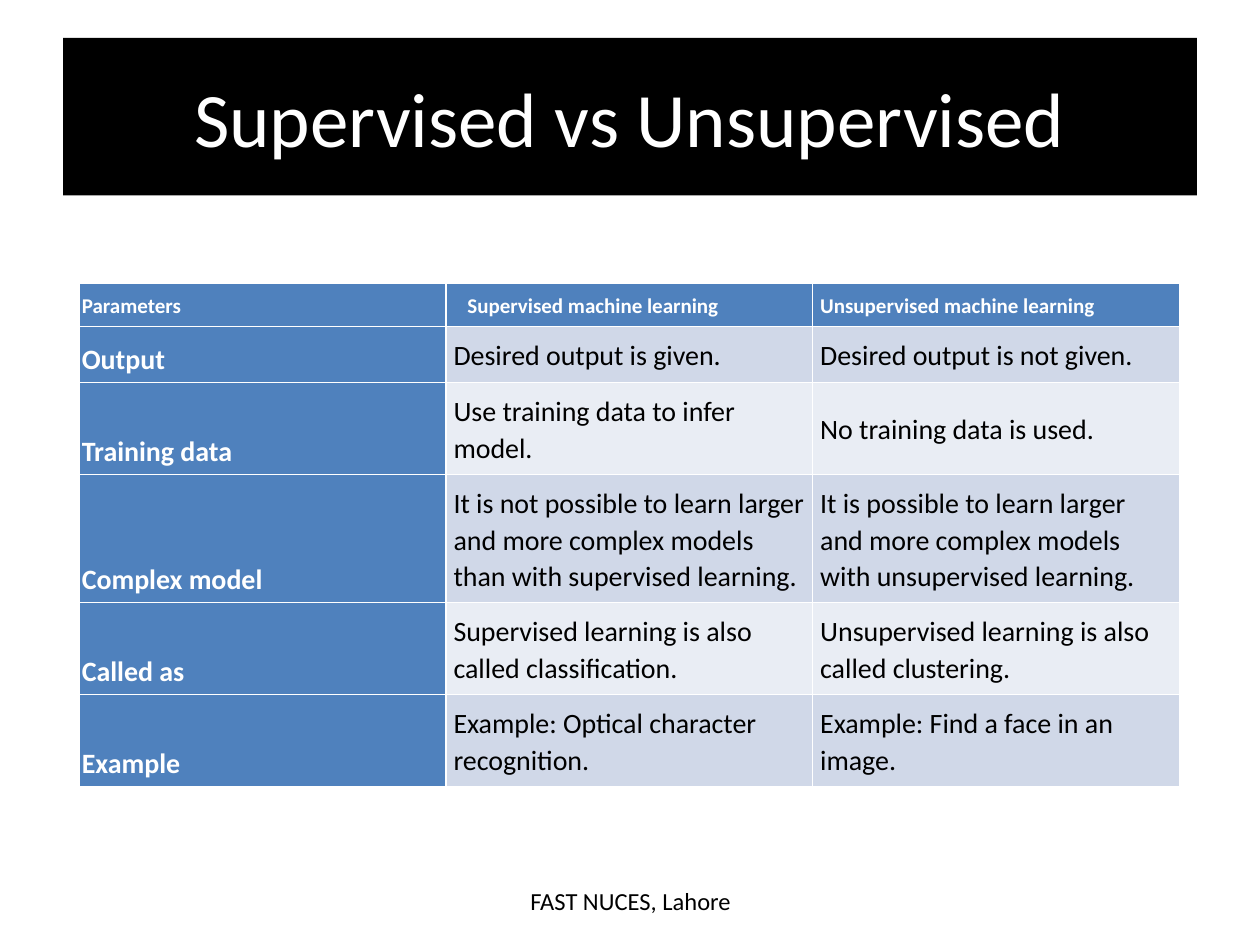
from dataclasses import dataclass
from pptx import Presentation
from pptx.dml.color import RGBColor as RGB
from pptx.enum.text import MSO_ANCHOR as ANCHOR, PP_ALIGN as ALIGN
from pptx.util import Inches, Pt


@dataclass(frozen=True)
class Theme:
    font: str = "Calibri"
    black: RGB = RGB(0, 0, 0)
    white: RGB = RGB(255, 255, 255)
    blue: RGB = RGB.from_string("4F81BD")
    bands: tuple = (RGB.from_string("D0D8E8"), RGB.from_string("E9EDF4"))
    title: Pt = Pt(44)
    body: Pt = Pt(16)
    footer: Pt = Pt(14)
    header: Pt = Pt(12)


T = Theme()


def set_attrs(obj, values):
    for name, value in values.items():
        setattr(obj, name, value)


def write(tf, text, size, color, bold=False, **para):
    p = tf.paragraphs[0]
    set_attrs(p, para)
    r = p.add_run()
    r.text = text
    set_attrs(r.font, {"name": T.font, "size": size, "bold": bold})
    r.font.color.rgb = color


prs = Presentation()
set_attrs(prs, {"slide_width": Inches(10), "slide_height": Inches(7.5)})
s = prs.slides.add_slide(prs.slide_layouts[5])

title = s.shapes.title
set_attrs(title, {"left": Inches(0.5), "top": Inches(0.3),
                  "width": Inches(9), "height": Inches(1.25)})
title.fill.solid()
title.fill.fore_color.rgb = T.black
title.text_frame.vertical_anchor = ANCHOR.MIDDLE
write(title.text_frame, "Supervised vs Unsupervised", T.title, T.white,
      alignment=ALIGN.CENTER)

footer = s.shapes.add_textbox(Inches(3.42), Inches(6.95), Inches(3.17), Inches(0.4))
set_attrs(footer.text_frame, {"word_wrap": True, "vertical_anchor": ANCHOR.MIDDLE})
write(footer.text_frame, "FAST NUCES, Lahore", T.footer, T.black,
      alignment=ALIGN.CENTER)

rows = [
    ("Parameters", "Supervised machine learning", "Unsupervised machine learning"),
    ("Output", "Desired output is given.", "Desired output is not given."),
    ("Training data", "Use training data to infer model.", "No training data is used."),
    ("Complex model",
     "It is not possible to learn larger and more complex models than with supervised learning.",
     "It is possible to learn larger and more complex models with unsupervised learning."),
    ("Called as", "Supervised learning is also called classification.",
     "Unsupervised learning is also called clustering."),
    ("Example", "Example: Optical character recognition.",
     "Example: Find a face in an image."),
]
heights = [0.34, 0.41, 0.41, 0.74, 0.57, 0.57]

table = s.shapes.add_table(len(rows), 3, Inches(0.63), Inches(2.25),
                           Inches(8.75), Inches(sum(heights))).table
table.first_col = True
for col in table.columns:
    col.width = Inches(2.91)

for i, (row, height) in enumerate(zip(rows, heights)):
    table.rows[i].height = Inches(height)
    for j, text in enumerate(row):
        cell = table.cell(i, j)
        label = i == 0 or j == 0
        side = Inches(0.06 if j else 0.02)
        edge = Inches(0.06 if i == 0 else 0.08 if j else 0.04)
        set_attrs(cell, {
            "margin_left": Inches(0.17) if (i, j) == (0, 1) else side,
            "margin_right": side, "margin_top": edge, "margin_bottom": edge,
            "vertical_anchor": ANCHOR.BOTTOM if label else ANCHOR.MIDDLE,
        })
        cell.fill.solid()
        cell.fill.fore_color.rgb = T.blue if label else T.bands[(i - 1) % 2]
        write(cell.text_frame, text, T.body if i else T.header,
              T.white if label else T.black, label,
              line_spacing=1.07, space_after=Pt(8))

prs.save("out.pptx")
